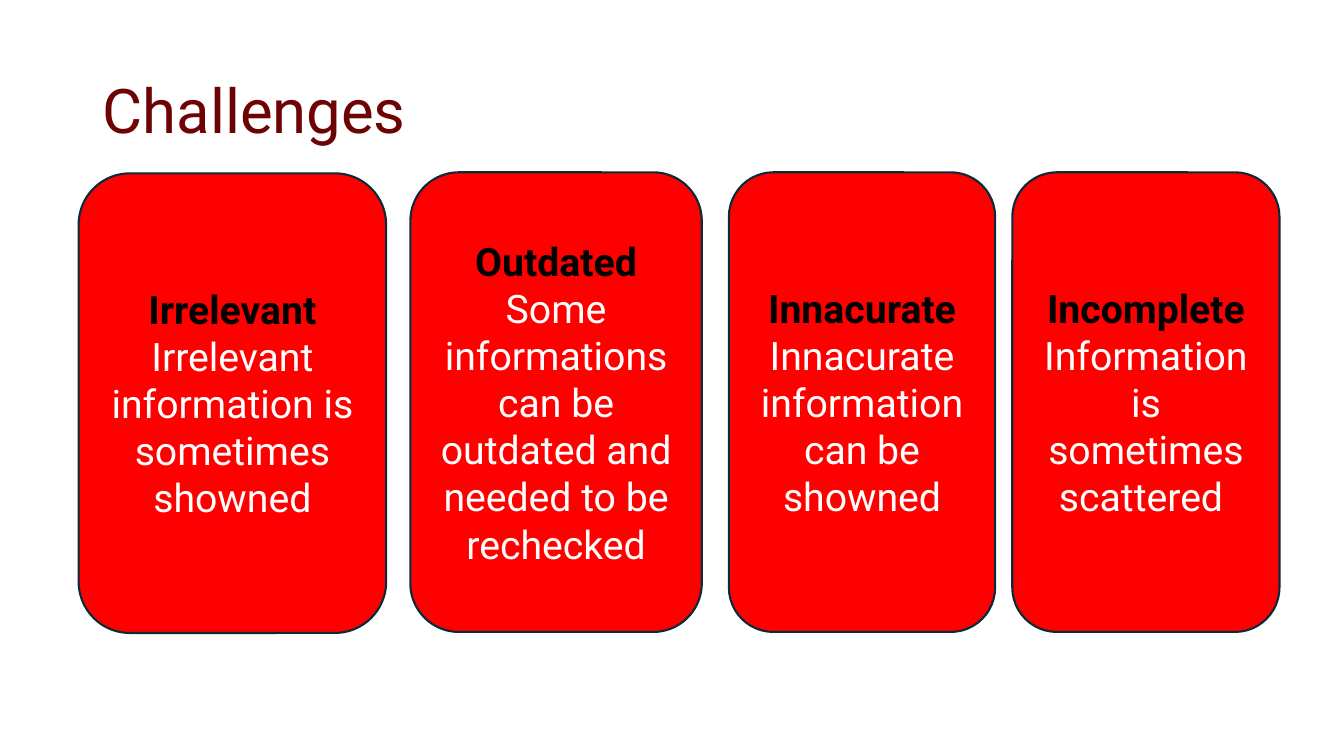
from dataclasses import dataclass

from pptx import Presentation
from pptx import util as u
from pptx.dml.color import RGBColor
from pptx.enum import shapes, text

FONT = "Roboto"
RED, NAVY, MAROON = "FF0000", "092A39", "6E0303"
BLACK, WHITE = "000000", "FFFFFF"
CARD_HEIGHT = 4.56


@dataclass
class Card:
    left: float
    top: float
    width: float
    heading: str
    body: str


CARDS = [
    Card(0.78, 1.72, 3.05, "Irrelevant",
         "Irrelevant information is sometimes showned"),
    Card(4.07, 1.71, 2.89, "Outdated",
         "Some informations can be outdated and needed to be rechecked"),
    Card(7.23, 1.71, 2.64, "Innacurate",
         "Innacurate information can be showned"),
    Card(10.04, 1.71, 2.65, "Incomplete",
         "Information is sometimes scattered "),
]


def rgb(value: str) -> RGBColor:
    return RGBColor.from_string(value)


def add_run(p, content: str, size: float, color: str, bold: bool = False) -> None:
    r = p.add_run()
    r.text = content
    r.font.name = FONT
    r.font.size = u.Pt(size)
    r.font.bold = bold
    r.font.color.rgb = rgb(color)


def setup_frame(sp):
    tf = sp.text_frame
    tf.word_wrap = True
    tf.vertical_anchor = text.MSO_ANCHOR.MIDDLE
    return tf


def add_title(s, content: str) -> None:
    sp = s.shapes.add_textbox(u.Inches(0.92), u.Inches(0.4),
                              u.Inches(11.5), u.Inches(1.45))
    p = setup_frame(sp).paragraphs[0]
    p.line_spacing = 0.9
    add_run(p, content, 44, MAROON)


def add_card(s, card: Card) -> None:
    sp = s.shapes.add_shape(shapes.MSO_SHAPE.ROUNDED_RECTANGLE,
                            u.Inches(card.left), u.Inches(card.top),
                            u.Inches(card.width), u.Inches(CARD_HEIGHT))
    sp.shadow.inherit = False
    sp.fill.solid()
    sp.fill.fore_color.rgb = rgb(RED)
    sp.line.color.rgb = rgb(NAVY)
    sp.line.width = u.Pt(1.5)

    tf = setup_frame(sp)
    heading, body = tf.paragraphs[0], tf.add_paragraph()
    heading.alignment = body.alignment = text.PP_ALIGN.CENTER
    add_run(heading, card.heading, 28, BLACK, bold=True)
    add_run(body, card.body, 28, WHITE)


def main() -> None:
    prs = Presentation()
    prs.slide_width, prs.slide_height = u.Inches(13.33), u.Inches(7.5)
    s = prs.slides.add_slide(prs.slide_layouts[6])

    # Title
    add_title(s, "Challenges")

    # Row of challenge cards
    for card in CARDS:
        add_card(s, card)

    prs.save("out.pptx")


if __name__ == "__main__":
    main()
